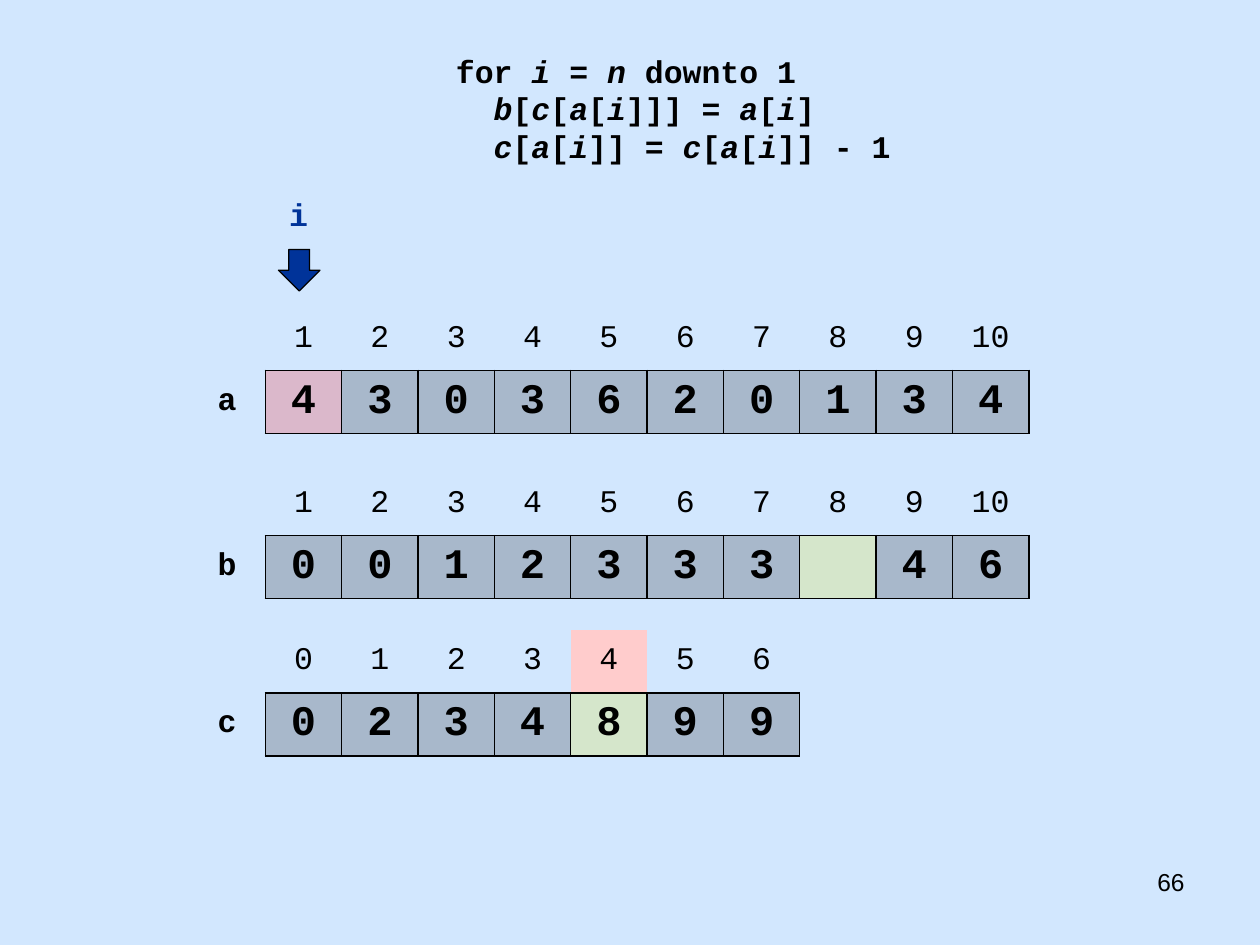
from lxml import etree
from pptx import Presentation
from pptx.dml.color import RGBColor
from pptx.enum.shapes import MSO_SHAPE
from pptx.enum.text import MSO_ANCHOR, PP_ALIGN
from pptx.oxml.ns import qn
from pptx.util import Inches, Pt

COLORS = {"background": "D2E7FE", "ink": "000000", "pointer": "003399",
          "index": "FFCCCC", "read": "FF0000", "write": "E5E500"}
CODE_FONT = "Courier New"
NO_STYLE = "{2D5ABB26-0587-4C30-8999-92F81FD0307C}"

# Pieces between bars alternate: plain, italic, plain, ...
CODE = [
    " for |i| = |n| downto 1",
    "   |b|[|c|[|a|[|i|]]] = |a|[|i|]",
    "   |c|[|a|[|i|]] = |c|[|a|[|i|]] - 1",
]
# Highlights are keyed by (row, column); column 0 holds the array's name
ARRAYS = [
    {"name": "a", "top": 2.44, "first": 1, "marks": {(1, 1): "read"},
     "values": [4, 3, 0, 3, 6, 2, 0, 1, 3, 4]},
    {"name": "b", "top": 3.75, "first": 1, "marks": {(1, 8): "write"},
     "values": [0, 0, 1, 2, 3, 3, 3, "", 4, 6]},
    {"name": "c", "top": 5, "first": 0, "marks": {(0, 5): "index", (1, 5): "write"},
     "values": [0, 2, 3, 4, 8, 9, 9]},
]
LEFT, CELL_WIDTH, CELL_HEIGHT = 1.5, 0.606, 0.5


def rgb(name):
    return RGBColor.from_string(COLORS[name])


def format_font(font, size, bold=False, color="ink", face=CODE_FONT):
    font.name, font.size, font.bold = face, Pt(size), bold
    font.color.rgb = rgb(color)


def add_text(left, top, width, height, text="", align=PP_ALIGN.LEFT):
    frame = slide.shapes.add_textbox(
        Inches(left), Inches(top), Inches(width), Inches(height)).text_frame
    frame.word_wrap = True
    frame.text = text
    frame.paragraphs[0].alignment = align
    return frame


def add_borders(cell, sides):
    properties = cell._tc.get_or_add_tcPr()
    for side in sides:
        line = etree.SubElement(properties, qn(f"a:ln{side}"), w=str(Pt(1)))
        fill = etree.SubElement(line, qn("a:solidFill"))
        etree.SubElement(fill, qn("a:srgbClr"), val=COLORS["ink"])


def fill_cell(cell, color, alpha=None):
    cell.fill.solid()
    cell.fill.fore_color.rgb = rgb(color)
    if alpha:
        tint = cell._tc.tcPr.find(".//" + qn("a:solidFill") + "/" + qn("a:srgbClr"))
        for tint in cell._tc.tcPr.find(qn("a:solidFill")):
            etree.SubElement(tint, qn("a:alpha"), val=str(alpha * 1000))


def add_array(name, top, first, marks, values):
    indices = range(first, first + len(values))
    rows = [["", *indices], [name, *values]]
    columns = len(rows[0])
    table = slide.shapes.add_table(
        2, columns, Inches(LEFT), Inches(top),
        Inches(CELL_WIDTH * columns), Inches(CELL_HEIGHT * 2)).table
    table.first_row = table.horz_banding = False
    table._tbl.tblPr.find(qn("a:tableStyleId")).text = NO_STYLE
    for column in table.columns:
        column.width = Inches(CELL_WIDTH)
    for r, row in enumerate(rows):
        for c, content in enumerate(row):
            cell = table.cell(r, c)
            is_value = r == 1 and c > 0
            cell.text = str(content)
            cell.vertical_anchor = MSO_ANCHOR.MIDDLE
            entry = cell.text_frame.paragraphs[0]
            entry.alignment = PP_ALIGN.CENTER
            format_font(entry.font, 24 if is_value else 18, bold=r == 1)
            for run in entry.runs:
                format_font(run.font, 24 if is_value else 18, bold=r == 1)
            if is_value:
                add_borders(cell, "LRTB")
                fill_cell(cell, marks.get((r, c), "ink"), alpha=20)
            else:
                if r == 1:
                    add_borders(cell, "R")
                elif c > 0:
                    add_borders(cell, "B")
                if (r, c) in marks:
                    fill_cell(cell, marks[r, c])
                else:
                    cell.fill.background()


prs = Presentation()
prs.slide_width, prs.slide_height = Inches(10), Inches(7.5)
slide = prs.slides.add_slide(prs.slide_layouts[6])
slide.background.fill.solid()
slide.background.fill.fore_color.rgb = rgb("background")

# Slide number
number = add_text(7.17, 6.83, 2.33, 0.52, "66", PP_ALIGN.RIGHT)
format_font(number.paragraphs[0].runs[0].font, 14, face="Arial")

# Pseudocode
code = add_text(3.37, 0.36, 4, 1.01)
for n, code_line in enumerate(CODE):
    paragraph = code.add_paragraph() if n else code.paragraphs[0]
    for k, piece in enumerate(code_line.split("|")):
        run = paragraph.add_run()
        run.text = piece
        format_font(run.font, 18, bold=True)
        run.font.italic = k % 2 == 1

# Arrays
for array in ARRAYS:
    add_array(**array)

# Pointer to the current element
label = add_text(1.33, 1.5, 2.08, 0.4, "i", PP_ALIGN.CENTER)
format_font(label.paragraphs[0].runs[0].font, 18, bold=True, color="pointer")
arrow = slide.shapes.add_shape(
    MSO_SHAPE.DOWN_ARROW, Inches(2.21), Inches(1.98), Inches(0.33), Inches(0.33))
arrow.shadow.inherit = False
arrow.fill.solid()
arrow.fill.fore_color.rgb = rgb("pointer")
arrow.line.color.rgb = rgb("ink")
arrow.line.width = Pt(0.75)

prs.save("out.pptx")
